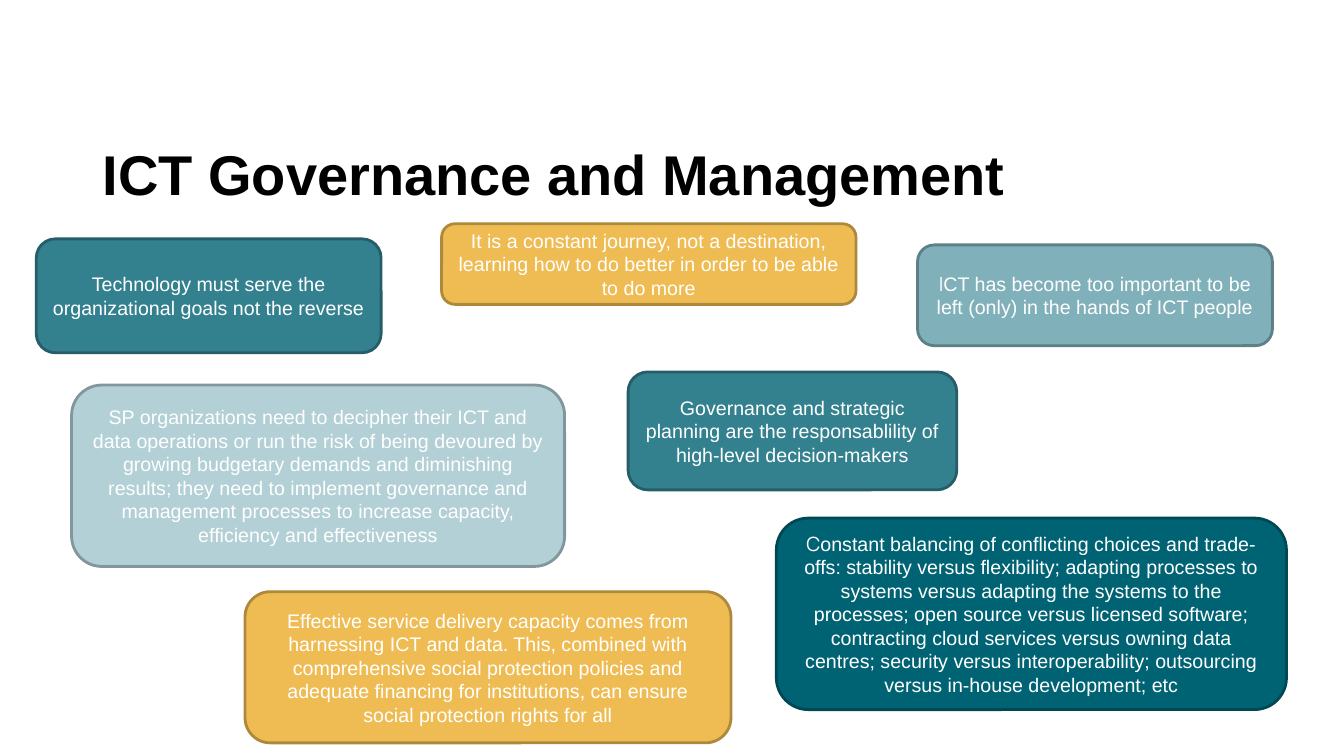
from pptx import Presentation
from pptx.dml.color import RGBColor
from pptx.enum.shapes import MSO_SHAPE
from pptx.enum.text import MSO_ANCHOR, MSO_AUTO_SIZE, PP_ALIGN
from pptx.util import Inches, Pt

# Fill and matching outline of each card colour
TEAL = ("33818F", "255E68")
DARK_TEAL = ("006374", "004854")
MID_TEAL = ("80B0B9", "5D8087")
PALE_TEAL = ("B2D0D5", "81979B")
YELLOW = ("EFBC53", "AE893C")

# Box (left, top, width, height), colours, text runs as (text, font)
CARDS = [
    ((9.1, 2.43, 3.52, 1), MID_TEAL, [
        ("I", "Manrope"),
        ("CT has become too important to be left (only) in the hands of "
         "ICT people", "Arial")]),
    ((0.36, 2.37, 3.42, 1.13), TEAL, [
        ("Technology must serve the organizational goals not the reverse",
         "Arial")]),
    ((6.23, 3.69, 3.26, 1.17), TEAL, [
        ("Governance and strategic planning are the responsablility of "
         "high-level decision-makers", "Arial")]),
    ((4.38, 2.22, 4.11, 0.8), YELLOW, [
        ("It is a constant journey, not a destination, learning how to do "
         "better in order to be able to do more", "Arial")]),
    ((7.7, 5.14, 5.06, 1.9), DARK_TEAL, [
        ("C", "Manrope"),
        ("onstant balancing of conflicting choices and trade-offs: stability "
         "versus flexibility; adapting processes to systems versus adapting "
         "the systems to the processes; open source versus licensed software; "
         "contracting cloud services versus owning data centres; security "
         "versus interoperability; outsourcing versus in-house development; "
         "etc", "Arial")]),
    ((0.71, 3.82, 4.89, 1.8), PALE_TEAL, [
        ("SP organizations need to decipher their ICT and data operations or "
         "run the risk of being devoured by growing budgetary demands and "
         "diminishing results; they need to implement governance and "
         "management processes to increase capacity, efficiency and "
         "effectiveness", "Arial")]),
    ((2.43, 5.87, 4.82, 1.5), YELLOW, [
        ("Effective service delivery capacity comes from harnessing ICT and "
         "data. This, combined with comprehensive social protection policies "
         "and adequate financing for institutions, can ensure social "
         "protection rights for all", "Arial")]),
]


def rgb(color):
    return RGBColor.from_string(color)


def place(sp, box):
    sp.left, sp.top, sp.width, sp.height = map(Inches, box)


def add_title(slide, box, text):
    sp = slide.shapes.title
    place(sp, box)
    tf = sp.text_frame
    tf.text = text
    tf.word_wrap = True
    tf.auto_size = MSO_AUTO_SIZE.NONE
    tf.vertical_anchor = MSO_ANCHOR.MIDDLE
    p = tf.paragraphs[0]
    p.alignment = PP_ALIGN.LEFT
    p.line_spacing = 0.9
    p.font.name = "Arial"
    p.font.size = Pt(40)
    p.font.bold = True
    p.font.color.rgb = rgb("000000")


def add_card(slide, box, colors, runs):
    fill, line = colors
    sp = slide.shapes.add_shape(MSO_SHAPE.ROUNDED_RECTANGLE, *map(Inches, box))
    sp.shadow.inherit = False
    sp.fill.solid()
    sp.fill.fore_color.rgb = rgb(fill)
    sp.line.color.rgb = rgb(line)
    sp.line.width = Pt(2)
    tf = sp.text_frame
    tf.word_wrap = True
    tf.vertical_anchor = MSO_ANCHOR.MIDDLE
    p = tf.paragraphs[0]
    p.alignment = PP_ALIGN.CENTER
    p.font.size = Pt(14)
    p.font.color.rgb = rgb("FFFFFF")
    for text, font in runs:
        r = p.add_run()
        r.text = text
        r.font.name = font


def main():
    prs = Presentation()
    prs.slide_width, prs.slide_height = Inches(13.33), Inches(7.5)
    title_only = prs.slide_layouts[5]
    slide = prs.slides.add_slide(title_only)
    add_title(slide, (0.92, 1.24, 11.5, 1.03), "ICT Governance and Management")
    for box, colors, runs in CARDS:
        add_card(slide, box, colors, runs)
    prs.save("out.pptx")


if __name__ == "__main__":
    main()
